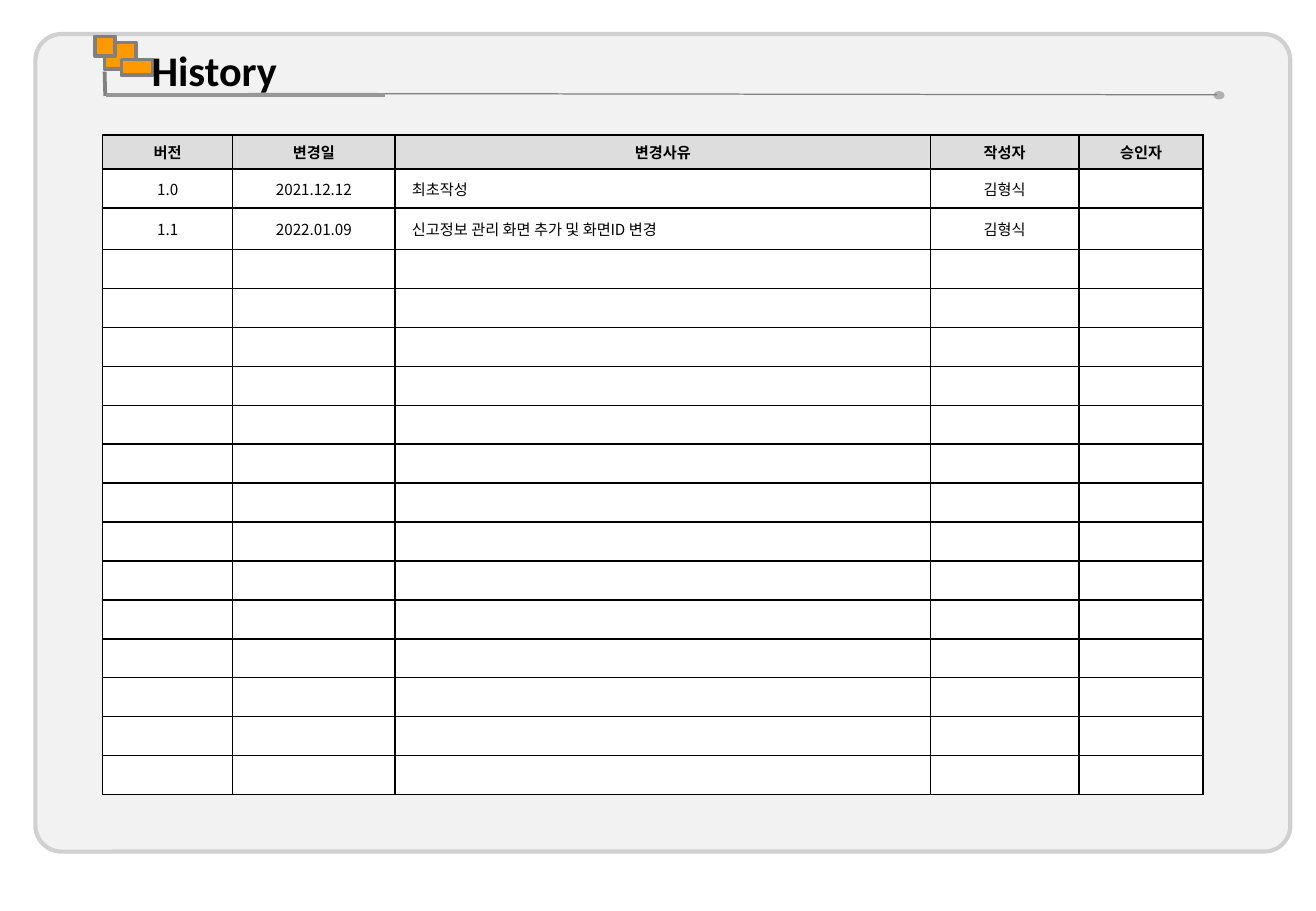
import pptx
import pptx.dml.color
import pptx.enum.shapes
import pptx.enum.text
import pptx.oxml.ns
import pptx.util
from lxml import etree

Pt = pptx.util.Pt
RGBColor = pptx.dml.color.RGBColor
MSO_SHAPE = pptx.enum.shapes.MSO_SHAPE
PP_ALIGN = pptx.enum.text.PP_ALIGN
qn = pptx.oxml.ns.qn

BLACK = RGBColor(0x00, 0x00, 0x00)
WHITE = RGBColor(0xFF, 0xFF, 0xFF)
PANEL_FILL = RGBColor(0xF2, 0xF2, 0xF2)
PANEL_LINE = RGBColor(0xD0, 0xD0, 0xD0)
HEADER_FILL = RGBColor(0xDD, 0xDD, 0xDD)
ORANGE = RGBColor(0xFF, 0x99, 0x00)
GRAY = RGBColor(0x80, 0x80, 0x80)
UNDERLINE_GRAY = RGBColor(0x96, 0x96, 0x96)
DOT_GRAY = RGBColor(0xB0, 0xB0, 0xB0)

TABLE_FONT = "Noto Sans CJK KR"
HEADINGS = ["버전", "변경일", "변경사유", "작성자", "승인자"]
ENTRIES = [
    ["1.0", "2021.12.12", "최초작성", "김형식", ""],
    ["1.1", "2022.01.09", "신고정보 관리 화면 추가 및 화면ID 변경", "김형식", ""],
]
EMPTY_ROWS = 14
REASON_COLUMN = 2
COLUMN_SHARES = [77, 96.3, 317.3, 88, 73.7]
ROW_SHARES = [20.4, 23.1, 24.6] + [23.1] * EMPTY_ROWS


def add_box(slide, kind, box, fill, line=None, width=0):
    """Add a filled preset shape, outlined when a line colour is given."""
    shape = slide.shapes.add_shape(kind, *[Pt(value) for value in box])
    shape.shadow.inherit = False
    shape.fill.solid()
    shape.fill.fore_color.rgb = fill
    if line is None:
        shape.line.fill.background()
    else:
        shape.line.color.rgb = line
        shape.line.width = Pt(width)
    return shape


def add_rule(slide, ends, color, width):
    """Add a straight line without a shadow."""
    straight = pptx.enum.shapes.MSO_CONNECTOR.STRAIGHT
    connector = slide.shapes.add_connector(straight, *[Pt(value) for value in ends])
    connector.line.color.rgb = color
    connector.line.width = Pt(width)
    properties = connector._element.find(qn("p:spPr"))
    etree.SubElement(properties, qn("a:effectLst"))


def add_panel(slide, box):
    """Draw the rounded background panel."""
    panel = add_box(slide, MSO_SHAPE.ROUNDED_RECTANGLE, box, PANEL_FILL, PANEL_LINE, 2.5)
    panel.adjustments[0] = 0.032


def add_title(slide, box, title):
    """Draw the title with its block ornament and underline."""
    left, top, width, height = box
    add_box(slide, MSO_SHAPE.OVAL, (left + width - 6.5, top + height - 5, 6.5, 5), DOT_GRAY)
    blocks = [(5.8, 3.6, 18.7, 15.8), (15.8, 13.7, 18.7, 9.4), (0, 0, 12.2, 11.5)]
    for x, y, block_width, block_height in blocks:
        block_box = (left + x, top + y, block_width, block_height)
        add_box(slide, MSO_SHAPE.RECTANGLE, block_box, ORANGE, GRAY, 2.25)
    baseline = top + height - 2.8
    add_rule(slide, (left + 5.8, top + 20.9, left + 6.2, baseline + 0.7), GRAY, 2.25)
    add_rule(slide, (left + 90.7, baseline - 0.8, left + width - 4.3, baseline), GRAY, 0.75)

    text_box = slide.shapes.add_textbox(Pt(left + 26.6), Pt(top + 1.4), Pt(162.7), Pt(37.4))
    text_box.text_frame.word_wrap = True
    text_box.text_frame.text = title
    font = text_box.text_frame.paragraphs[0].runs[0].font
    font.name = "Calibri"
    font.size = Pt(25)
    font.bold = True
    font.color.rgb = BLACK
    add_rule(slide, (left + 6.5, baseline, left + 172.1, baseline), UNDERLINE_GRAY, 2.25)


def format_cell(cell, text, fill, bold, alignment):
    """Write one table cell with its text format, fill and borders."""
    cell.text_frame.text = text
    cell.vertical_anchor = pptx.enum.text.MSO_ANCHOR.MIDDLE
    cell.margin_left = cell.margin_right = Pt(10)
    cell.margin_top = cell.margin_bottom = Pt(3)
    paragraph = cell.text_frame.paragraphs[0]
    paragraph.alignment = alignment
    for run in paragraph.runs:
        run.font.name = TABLE_FONT
        run.font.size = Pt(9)
        run.font.bold = bold
        run.font.color.rgb = BLACK
        east_asian = etree.SubElement(run.font._element, qn("a:ea"))
        east_asian.set("typeface", TABLE_FONT)
    if not text:
        etree.SubElement(paragraph._p, qn("a:endParaRPr")).set("sz", "900")
    properties = cell._tc.get_or_add_tcPr()
    for side in ("a:lnL", "a:lnR", "a:lnT", "a:lnB"):
        border = etree.SubElement(properties, qn(side))
        border.set("w", str(Pt(1)))
        solid = etree.SubElement(border, qn("a:solidFill"))
        etree.SubElement(solid, qn("a:srgbClr")).set("val", str(BLACK))
    cell.fill.solid()
    cell.fill.fore_color.rgb = fill


def add_history_table(slide, box):
    """Place the revision table, sharing the box among its columns and rows."""
    left, top, width, height = box
    entries = [HEADINGS] + ENTRIES + [[""] * len(HEADINGS)] * EMPTY_ROWS
    frame = slide.shapes.add_table(
        len(entries), len(HEADINGS), Pt(left), Pt(top), Pt(width), Pt(height)
    )
    table = frame.table
    table.horz_banding = False
    for column, share in zip(table.columns, COLUMN_SHARES):
        column.width = Pt(width * share / sum(COLUMN_SHARES))
    for row, share in zip(table.rows, ROW_SHARES):
        row.height = Pt(height * share / sum(ROW_SHARES))
    for row_index, entry in enumerate(entries):
        heading = row_index == 0
        for column_index, text in enumerate(entry):
            reason = column_index == REASON_COLUMN and not heading
            format_cell(
                table.cell(row_index, column_index),
                text,
                HEADER_FILL if heading else WHITE,
                heading,
                PP_ALIGN.LEFT if reason else PP_ALIGN.CENTER,
            )


def main():
    """Build the history slide and save it."""
    presentation = pptx.Presentation()
    presentation.slide_width = Pt(780)
    presentation.slide_height = Pt(540)
    slide = presentation.slides.add_slide(presentation.slide_layouts[6])
    add_panel(slide, (21, 20.2, 743.8, 484.6))
    add_title(slide, (56.2, 21.6, 669.6, 37.4), "History")
    add_history_table(slide, (60.9, 79.9, 652.3, 391.2))
    presentation.save("out.pptx")


if __name__ == "__main__":
    main()
